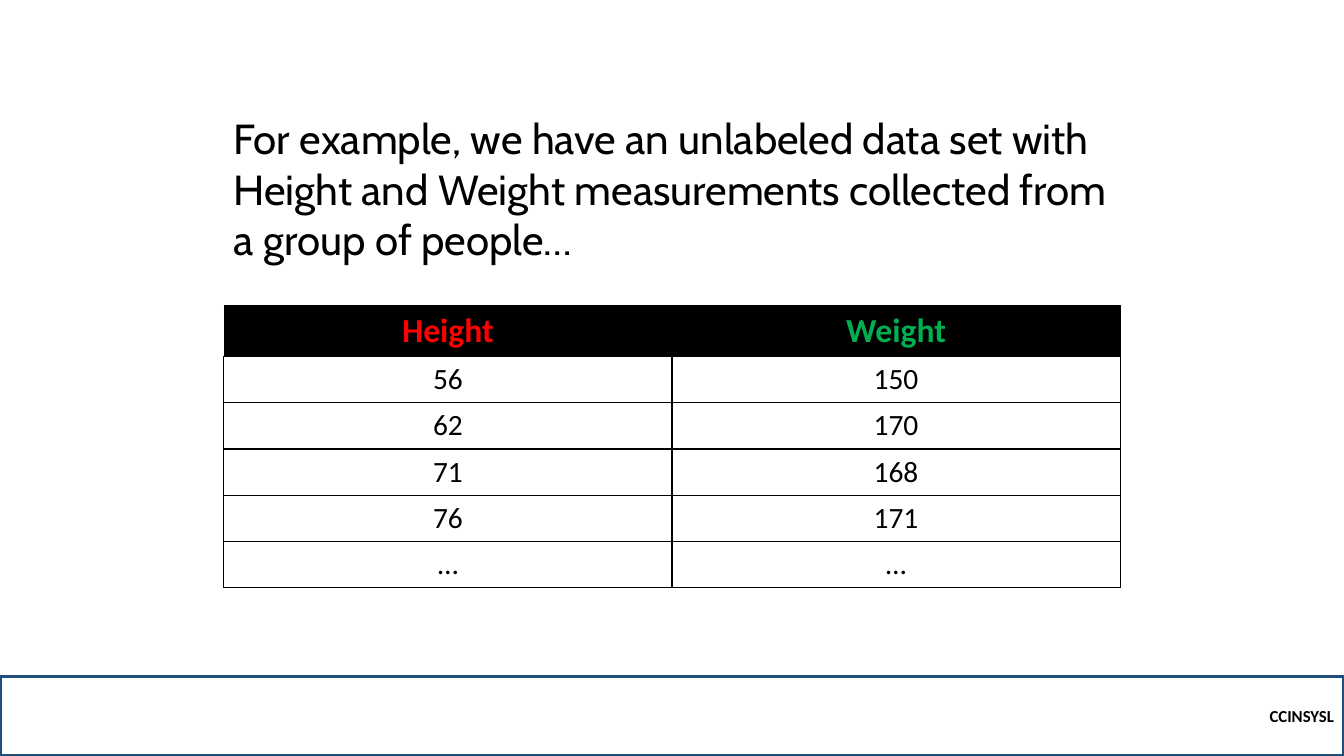
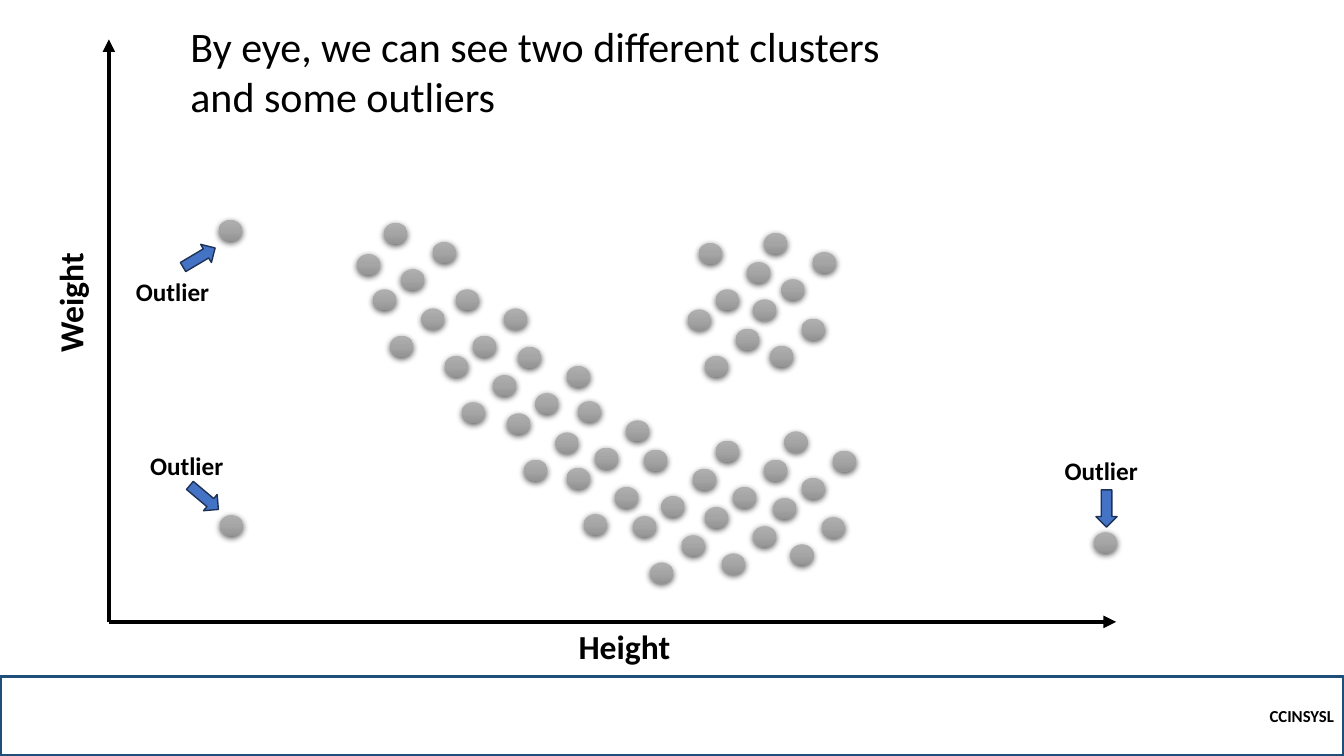
from copy import deepcopy
from dataclasses import dataclass

from lxml.etree import SubElement
from pptx import Presentation
from pptx.dml.color import RGBColor
from pptx.enum.shapes import MSO_CONNECTOR, MSO_SHAPE
from pptx.enum.text import MSO_ANCHOR, MSO_AUTO_SIZE, PP_ALIGN
from pptx.oxml.ns import qn
from pptx.presentation import Presentation as Deck
from pptx.shapes.shapetree import GroupShapes, SlideShapes
from pptx.slide import Slide
from pptx.table import _Cell as Cell
from pptx.text.text import _Paragraph as Paragraph
from pptx.util import Inches, Pt

Shapes = SlideShapes | GroupShapes


@dataclass(frozen=True)
class Theme:
    ink: str = "000000"
    band_edge: str = "1F4E79"
    height: str = "FF0000"
    weight: str = "00B050"
    arrow: str = "4472C4"
    arrow_edge: str = "1E3256"
    dot: tuple[str, ...] = ("AFAFAF", "A5A5A5", "939393")
    font: str = "Calibri"
    lead_font: str = "Cabin"
    lead_size: float = 30
    heading_size: float = 24
    value_size: float = 21
    label_size: float = 18
    footer_size: float = 12


@dataclass(frozen=True)
class Label:
    text: str
    left: float
    top: float
    width: float
    height: float
    size: float
    bold: bool = True
    font: str = "Calibri"
    rotation: float = 0
    wraps: bool = True


@dataclass(frozen=True)
class Outlier:
    dot: tuple[float, float]
    label: tuple[float, float]
    arrow: tuple[float, float]
    rotation: float


THEME = Theme()
SLIDE_WIDTH, SLIDE_HEIGHT = 13.33, 7.5
BAND_TOP = 6.71
DOT_SIZE = (0.23, 0.21)
ARROW_SIZE = (0.37, 0.21)
AXIS_ORIGIN = (1.08, 6.17)
AXIS_ENDS = ((11.07, 6.17), (1.08, 0.39))

MEASUREMENTS = (
    ("Height", "Weight"),
    ("56", "150"),
    ("62", "170"),
    ("71", "168"),
    ("76", "171"),
    ("…", "…"),
)

DOT_PATTERN = ((0, 0), (0.17, 0.46), (0.48, 0.19), (-0.11, 0.66), (0.06, 1.12), (0.37, 0.85))
LONG_CLUSTER = (
    (3.81, 2.21), (4.52, 2.87), (5.14, 3.44), (5.73, 3.98),
    (6.39, 4.46), (7.1, 4.37), (7.78, 4.28),
)
ROUND_CLUSTER = ((6.93, 2.41), (7.58, 2.31))
EDGE_DOT = (3.54, 2.52)

OUTLIERS = (
    Outlier((2.17, 2.18), (1.25, 2.69), (1.79, 2.45), 329.3),
    Outlier((2.18, 5.11), (1.39, 4.42), (1.84, 4.83), 40.1),
    Outlier((10.85, 5.28), (10.46, 4.47), (10.79, 4.94), 90),
)

QUESTION = Label(
    "For example, we have an unlabeled data set with Height and Weight "
    "measurements collected from a group of people…",
    2.22, 1.07, 8.89, 1.62, THEME.lead_size, False, THEME.lead_font,
)
FINDING = Label(
    "By eye, we can see two different clusters and some outliers",
    1.79, 0.15, 7.56, 1.11, THEME.lead_size, False,
)
AXIS_LABELS = (
    Label("Height", 5.64, 6.16, 1.17, 0.5, THEME.heading_size),
    Label("Weight", 0.1, 2.75, 1.19, 0.5, THEME.heading_size, rotation=270, wraps=False),
)


def rgb(value: str) -> RGBColor:
    return RGBColor.from_string(value)


def style_text(paragraph: Paragraph, size: float, bold: bool,
               color: str = THEME.ink, font: str = THEME.font) -> None:
    for run in paragraph.runs:
        run.font.size = Pt(size)
        run.font.bold = bold
        run.font.name = font
        run.font.color.rgb = rgb(color)


def add_label(shapes: Shapes, label: Label) -> None:
    box = shapes.add_textbox(
        Inches(label.left), Inches(label.top), Inches(label.width), Inches(label.height)
    )
    box.rotation = label.rotation
    frame = box.text_frame
    frame.word_wrap = label.wraps
    frame.auto_size = MSO_AUTO_SIZE.SHAPE_TO_FIT_TEXT
    frame.text = label.text
    style_text(frame.paragraphs[0], label.size, label.bold, font=label.font)


def add_base_slide(deck: Deck) -> Slide:
    slide = deck.slides.add_slide(deck.slide_layouts[6])
    band = slide.shapes.add_shape(
        MSO_SHAPE.RECTANGLE, 0, Inches(BAND_TOP),
        Inches(SLIDE_WIDTH), Inches(SLIDE_HEIGHT - BAND_TOP),
    )
    band.shadow.inherit = False
    band.fill.background()
    band.line.color.rgb = rgb(THEME.band_edge)
    band.line.width = Pt(2.25)
    band.text_frame.text = "CCINSYSL"
    band.text_frame.vertical_anchor = MSO_ANCHOR.MIDDLE
    course = band.text_frame.paragraphs[0]
    course.alignment = PP_ALIGN.RIGHT
    style_text(course, THEME.footer_size, True)
    return slide


def set_borders(cell: Cell, widths: dict[str, float]) -> None:
    properties = cell._tc.get_or_add_tcPr()
    for position, (side, width) in enumerate(widths.items()):
        edge = SubElement(properties, qn(f"a:{side}"), w=str(Pt(width)))
        fill = SubElement(edge, qn("a:solidFill"))
        SubElement(fill, qn("a:srgbClr"), val=THEME.ink)
        properties.insert(position, edge)


def add_measurements(slide: Slide) -> None:
    table = slide.shapes.add_table(
        len(MEASUREMENTS), len(MEASUREMENTS[0]),
        Inches(2.22), Inches(3.03), Inches(8.89), Inches(2.75),
    ).table
    table.horz_banding = False
    heading_colors = (THEME.height, THEME.weight)
    for row, values in enumerate(MEASUREMENTS):
        heading = row == 0
        for column, value in enumerate(values):
            cell = table.cell(row, column)
            cell.text = value
            paragraph = cell.text_frame.paragraphs[0]
            paragraph.alignment = PP_ALIGN.CENTER
            if heading:
                cell.fill.solid()
                cell.fill.fore_color.rgb = rgb(THEME.ink)
                style_text(paragraph, THEME.heading_size, True, heading_colors[column])
            else:
                cell.fill.background()
                style_text(paragraph, THEME.value_size, False)
            outer = 0.5 if heading else 1
            set_borders(cell, {
                "lnL": outer if column == 0 else 1,
                "lnR": outer if column == len(values) - 1 else 1,
                "lnT": outer,
                "lnB": 1,
            })


def add_axis(slide: Slide, end: tuple[float, float]) -> None:
    axis = slide.shapes.add_connector(
        MSO_CONNECTOR.STRAIGHT, *(Inches(value) for value in (*AXIS_ORIGIN, *end))
    )
    axis.line.color.rgb = rgb(THEME.ink)
    axis.line.width = Pt(3)
    SubElement(axis.line._get_or_add_ln(), qn("a:tailEnd"), type="triangle")
    SubElement(axis._element.spPr, qn("a:effectLst"))


def add_dot(slide: Slide, left: float, top: float) -> None:
    dot = slide.shapes.add_shape(
        MSO_SHAPE.OVAL, Inches(left), Inches(top), *(Inches(value) for value in DOT_SIZE)
    )
    dot.line.fill.background()
    dot.fill.gradient()
    dot.fill.gradient_angle = 270
    properties = dot._element.spPr
    stop_list = properties.find(f".//{qn('a:gsLst')}")
    stop_list.append(deepcopy(stop_list[0]))
    for stop, position, color in zip(dot.fill.gradient_stops, (0, 0.5, 1), THEME.dot):
        stop.position = position
        stop.color.rgb = rgb(color)
    dot.shadow.inherit = False
    shadow = SubElement(
        properties.find(qn("a:effectLst")), qn("a:outerShdw"),
        blurRad=str(Pt(4.5)), dist=str(Pt(1.5)), dir="5400000", algn="ctr", rotWithShape="0",
    )
    shade = SubElement(shadow, qn("a:srgbClr"), val=THEME.ink)
    SubElement(shade, qn("a:alpha"), val="63000")


def add_outlier(slide: Slide, outlier: Outlier) -> None:
    add_dot(slide, *outlier.dot)
    callout = slide.shapes.add_group_shape().shapes
    add_label(callout, Label("Outlier", *outlier.label, 1, 0.4, THEME.label_size))
    arrow = callout.add_shape(
        MSO_SHAPE.RIGHT_ARROW, *(Inches(value) for value in (*outlier.arrow, *ARROW_SIZE))
    )
    arrow.rotation = outlier.rotation
    arrow.shadow.inherit = False
    arrow.fill.solid()
    arrow.fill.fore_color.rgb = rgb(THEME.arrow)
    arrow.line.color.rgb = rgb(THEME.arrow_edge)
    arrow.line.width = Pt(1)


def build_data_slide(deck: Deck) -> None:
    slide = add_base_slide(deck)
    add_measurements(slide)
    add_label(slide.shapes, QUESTION)


def build_cluster_slide(deck: Deck) -> None:
    slide = add_base_slide(deck)
    for end in AXIS_ENDS:
        add_axis(slide, end)
    for left, top in LONG_CLUSTER + ROUND_CLUSTER:
        for across, down in DOT_PATTERN:
            add_dot(slide, left + across, top + down)
    add_dot(slide, *EDGE_DOT)
    for label in (*AXIS_LABELS, FINDING):
        add_label(slide.shapes, label)
    for outlier in OUTLIERS:
        add_outlier(slide, outlier)


def main() -> None:
    deck = Presentation()
    deck.slide_width = Inches(SLIDE_WIDTH)
    deck.slide_height = Inches(SLIDE_HEIGHT)
    build_data_slide(deck)
    build_cluster_slide(deck)
    deck.save("out.pptx")


if __name__ == "__main__":
    main()
